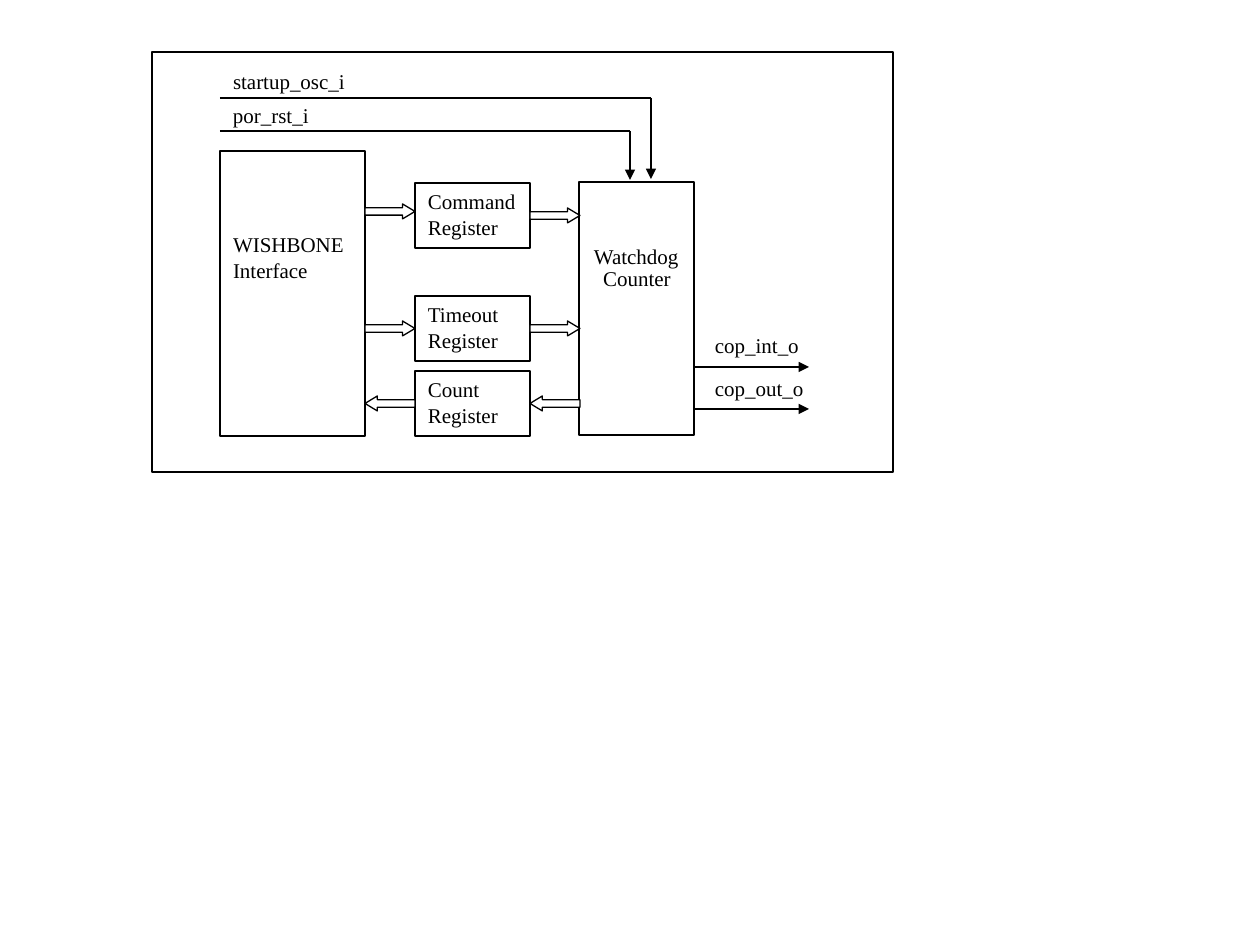
from dataclasses import dataclass

from lxml.etree import SubElement
from pptx import Presentation
from pptx.dml.color import RGBColor
from pptx.enum.shapes import MSO_CONNECTOR, MSO_SHAPE
from pptx.enum.text import MSO_ANCHOR, PP_ALIGN
from pptx.oxml.ns import qn
from pptx.util import Emu, Pt


@dataclass(frozen=True)
class Theme:
    ink: RGBColor = RGBColor(0, 0, 0)
    paper: RGBColor = RGBColor(255, 255, 255)
    font: str = "Times New Roman"
    body: float = 12
    stroke: float = 0.75


def px(length):
    return Emu(round(length * 914400 / 126))


def write(frame, text, theme, top=6, wrap=True, aligns=(PP_ALIGN.LEFT,), spacings=(None,)):
    frame.word_wrap = wrap
    frame.vertical_anchor = MSO_ANCHOR.TOP
    frame.margin_left = frame.margin_right = px(13)
    frame.margin_top, frame.margin_bottom = px(top), px(6)
    frame.text = text
    for paragraph, align, spacing in zip(frame.paragraphs, aligns, spacings):
        paragraph.alignment = align
        paragraph.line_spacing = spacing
        font = paragraph.runs[0].font
        font.name, font.size = theme.font, Pt(theme.body)
        font.color.rgb = theme.ink


class Diagram:
    """Draws block diagram parts on one slide in a shared style."""

    def __init__(self, slide, theme):
        self.shapes = slide.shapes
        self.theme = theme

    def block(self, x, y, width, height, text="", kind=MSO_SHAPE.RECTANGLE, filled=True, **style):
        block = self.shapes.add_shape(kind, px(x), px(y), px(width), px(height))
        block.shadow.inherit = False
        if filled:
            block.fill.solid()
            block.fill.fore_color.rgb = self.theme.paper
        else:
            block.fill.background()
        block.line.color.rgb = self.theme.ink
        block.line.width = Pt(self.theme.stroke)
        if text:
            write(block.text_frame, text, self.theme, **style)
        return block

    def bus(self, x, y, kind=MSO_SHAPE.RIGHT_ARROW):
        bus = self.block(x, y, 50, 15, kind=kind)
        bus.adjustments[0], bus.adjustments[1] = 0.5, 0.83

    def label(self, x, y, width, height, text, **style):
        label = self.shapes.add_textbox(px(x), px(y), px(width), px(height))
        write(label.text_frame, text, self.theme, **style)

    def wire(self, start, end, arrow=False):
        wire = self.shapes.add_connector(MSO_CONNECTOR.STRAIGHT, *map(px, start + end))
        wire.line.color.rgb = self.theme.ink
        wire.line.width = Pt(self.theme.stroke)
        properties = wire._element.spPr
        if arrow:
            SubElement(properties.find(qn("a:ln")), qn("a:tailEnd"), type="triangle")
        SubElement(properties, qn("a:effectLst"))


def main():
    deck = Presentation()
    deck.slide_width, deck.slide_height = px(1260), px(945)
    diagram = Diagram(deck.slides.add_slide(deck.slide_layouts[6]), Theme())

    diagram.block(152, 52, 741, 420, filled=False)
    diagram.block(220, 151, 145, 285, "WISHBONE Interface", top=81)
    diagram.block(579, 182, 115, 253)
    diagram.label(581, 210, 112, 105, "Watchdog\nCounter", top=31,
                  aligns=(PP_ALIGN.LEFT, PP_ALIGN.CENTER), spacings=(1.1, 0.9))

    right, left = MSO_SHAPE.RIGHT_ARROW, MSO_SHAPE.LEFT_ARROW
    for register, y, bus_in, bus_out, direction in (
        ("Command Register", 183, 204, 208, right),
        ("Timeout Register", 296, 321, 321, right),
        ("Count Register", 371, 396, 396, left),
    ):
        diagram.block(415, y, 115, 65, register)
        diagram.bus(365, bus_in, direction)
        diagram.bus(530, bus_out, direction)

    for signal, label_y, width, wire_y, turn_x, tip_y in (
        ("startup_osc_i", 63, 145, 98, 651, 179),
        ("por_rst_i", 97, 116, 131, 630, 180),
    ):
        diagram.label(220, label_y, width, 38, signal, wrap=False)
        diagram.wire((220, wire_y), (turn_x, wire_y))
        diagram.wire((turn_x, wire_y), (turn_x, tip_y), arrow=True)

    for signal, label_y, wire_y in (("cop_int_o", 327, 367), ("cop_out_o", 370, 409)):
        diagram.label(702, label_y, 128, 38, signal)
        diagram.wire((694, wire_y), (809, wire_y), arrow=True)

    deck.save("out.pptx")


if __name__ == "__main__":
    main()
